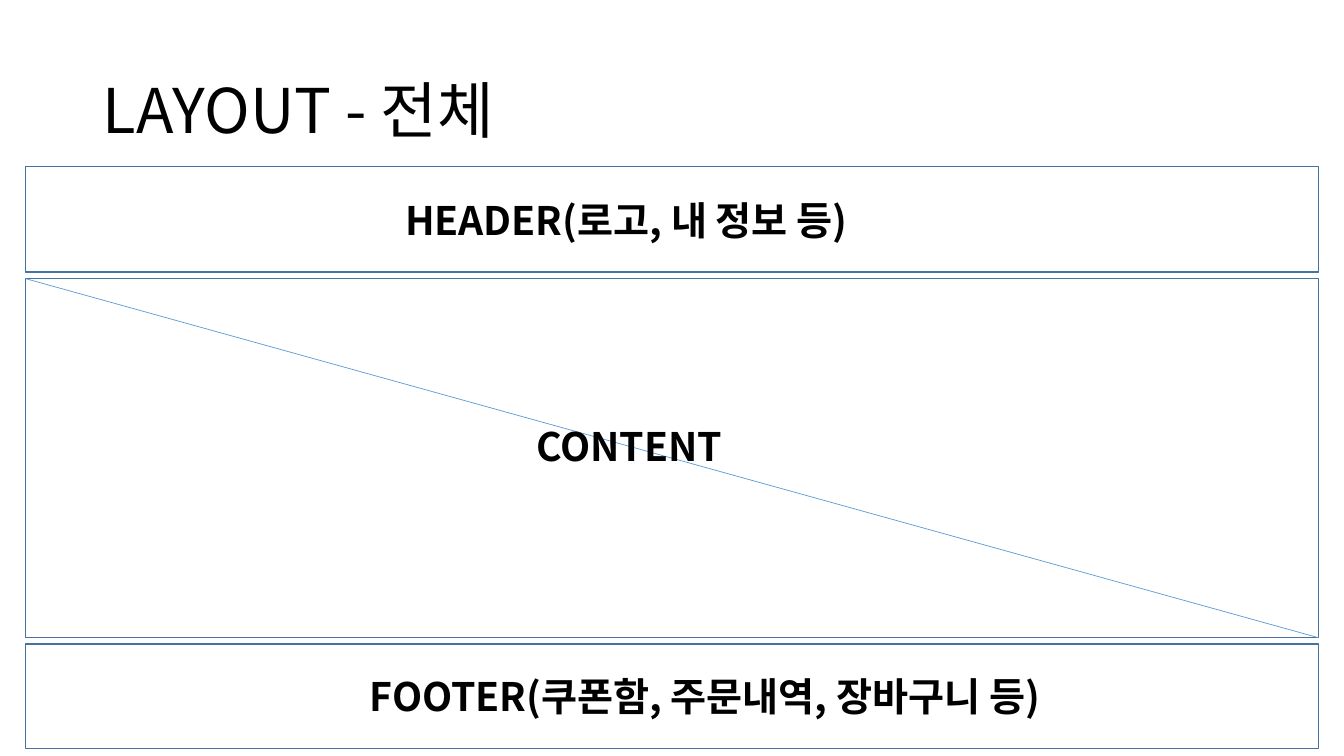
from dataclasses import dataclass

from lxml.etree import SubElement
from pptx import Presentation
from pptx.dml.color import RGBColor
from pptx.enum.shapes import MSO_CONNECTOR, MSO_SHAPE
from pptx.enum.text import MSO_ANCHOR, MSO_AUTO_SIZE, PP_ALIGN
from pptx.oxml.ns import qn
from pptx.slide import Slide
from pptx.text.text import _Paragraph as Paragraph
from pptx.util import Cm, Pt

FONT = "Noto Sans CJK KR"
BLACK = RGBColor(0x00, 0x00, 0x00)
WHITE = RGBColor(0xFF, 0xFF, 0xFF)
BORDER_BLUE = RGBColor(0x43, 0x73, 0x9E)
DIAGONAL_BLUE = RGBColor(0x5B, 0x9B, 0xD5)

# Lengths in centimetres
REGION_LEFT, REGION_WIDTH = 0.64, 32.59
LABEL_WIDTH, LABEL_HEIGHT = 21.46, 1.45


@dataclass(frozen=True)
class Region:
    label: str
    top: float
    height: float
    label_left: float
    label_top: float
    crossed: bool = False


REGIONS = [
    Region("HEADER(로고, 내 정보 등)", 4.19, 2.67, 9.96, 4.83),
    Region("CONTENT", 7.02, 9.05, 13.26, 10.52, crossed=True),
    Region("FOOTER(쿠폰함, 주문내역, 장바구니 등)", 16.23, 2.64, 9.07, 16.81),
]


def style_text(paragraph: Paragraph, size: int, bold: bool) -> None:
    font = paragraph.font
    font.name = FONT
    font.size = Pt(size)
    font.bold = bold
    font.color.rgb = BLACK
    SubElement(font._element, qn("a:ea"), typeface=FONT)


def add_title(slide: Slide, text: str) -> None:
    title = slide.shapes.title
    title.left, title.top = Cm(2.33), Cm(1.01)
    title.width, title.height = Cm(29.21), Cm(3.68)
    frame = title.text_frame
    frame.text = text
    frame.vertical_anchor = MSO_ANCHOR.MIDDLE
    frame.auto_size = MSO_AUTO_SIZE.NONE
    paragraph = frame.paragraphs[0]
    paragraph.alignment = PP_ALIGN.LEFT
    paragraph.line_spacing = 0.9
    style_text(paragraph, 44, False)


def add_diagonal(slide: Slide, region: Region) -> None:
    diagonal = slide.shapes.add_connector(
        MSO_CONNECTOR.STRAIGHT,
        Cm(REGION_LEFT), Cm(region.top),
        Cm(REGION_LEFT + REGION_WIDTH), Cm(region.top + region.height),
    )
    diagonal.line.color.rgb = DIAGONAL_BLUE
    diagonal.line.width = Pt(0.5)
    SubElement(diagonal._element.spPr, qn("a:effectLst"))


def add_region(slide: Slide, region: Region) -> None:
    # Frame
    frame = slide.shapes.add_shape(
        MSO_SHAPE.RECTANGLE,
        Cm(REGION_LEFT), Cm(region.top), Cm(REGION_WIDTH), Cm(region.height),
    )
    frame.shadow.inherit = False
    frame.fill.solid()
    frame.fill.fore_color.rgb = WHITE
    frame.line.color.rgb = BORDER_BLUE
    frame.line.width = Pt(1)

    if region.crossed:
        add_diagonal(slide, region)

    # Label
    label = slide.shapes.add_textbox(
        Cm(region.label_left), Cm(region.label_top),
        Cm(LABEL_WIDTH), Cm(LABEL_HEIGHT),
    ).text_frame
    label.word_wrap = True
    label.auto_size = MSO_AUTO_SIZE.SHAPE_TO_FIT_TEXT
    label.text = region.label
    style_text(label.paragraphs[0], 28, True)


def main() -> None:
    presentation = Presentation()
    presentation.slide_width = Cm(33.87)
    presentation.slide_height = Cm(19.05)
    title_only = presentation.slide_layouts.get_by_name("Title Only")
    slide = presentation.slides.add_slide(title_only)

    add_title(slide, "LAYOUT - 전체")
    for region in REGIONS:
        add_region(slide, region)

    presentation.save("out.pptx")


if __name__ == "__main__":
    main()
